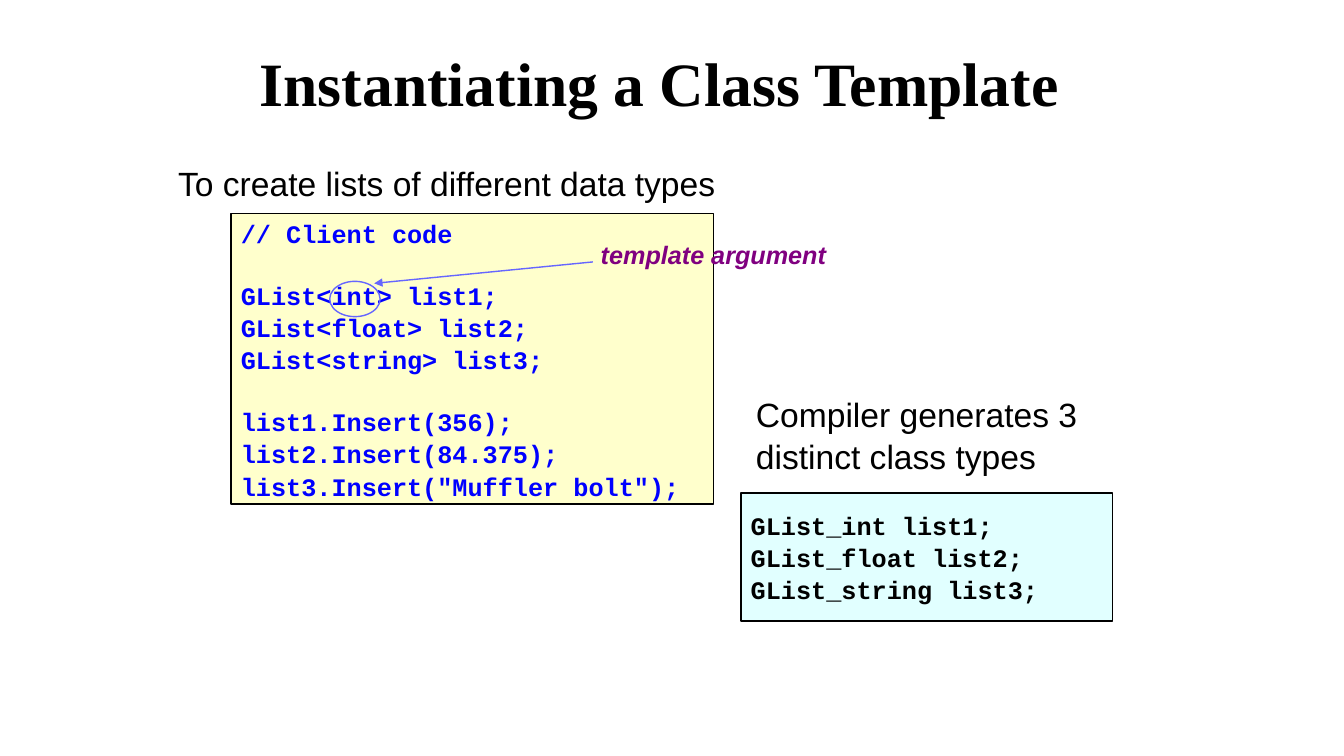
from pptx import Presentation
from pptx.dml.color import RGBColor
from pptx.enum.shapes import MSO_CONNECTOR as Connector, MSO_SHAPE as Shape
from pptx.enum.text import MSO_ANCHOR as Anchor, MSO_AUTO_SIZE as AutoSize, PP_ALIGN as Align
from pptx.oxml.ns import qn
from pptx.util import Cm, Pt
from lxml.etree import SubElement

COLORS = {
    "black": "000000", "code": "0000FF", "client": "FFFFCC",
    "generated": "E1FFFF", "marker": "6666FF", "label": "800080",
}
TITLE = {"name": "Times New Roman", "size": Pt(44), "bold": True}
HEADING = {"name": "Arial", "size": Pt(24)}
CODE = {"name": "Courier New", "size": Pt(18), "bold": True}
LABEL = {"name": "Arial", "size": Pt(18), "bold": True, "italic": True}
LINE_SPACING = 1.06
CODE_GAP = Pt(21.6)

# Blocks are separated by a gap of one line
CLIENT_CODE = [
    ["// Client code"],
    ["GList<int> list1;", "GList<float> list2;", "GList<string> list3;"],
    ["list1.Insert(356);", "list2.Insert(84.375);", 'list3.Insert("Muffler bolt");'],
]
GENERATED_CODE = [["GList_int list1;", "GList_float list2;", "GList_string list3;"]]


def color(name):
    return RGBColor.from_string(COLORS[name])


def place(box, left, top, width, height):
    """Turn a place inside a box into slide lengths."""
    return Cm(box[0] + left), Cm(box[1] + top), Cm(width), Cm(height)


def write(para, text, style, ink):
    para.line_spacing = LINE_SPACING
    span = para.add_run()
    span.text = text
    for key, value in style.items():
        setattr(span.font, key, value)
    span.font.color.rgb = color(ink)


def outline(shape, ink):
    shape.line.color.rgb = color(ink)
    shape.line.width = Pt(1)


def add_text(page, area, text, style, ink, wrap=True):
    frame = page.shapes.add_textbox(*area).text_frame
    frame.word_wrap = wrap
    write(frame.paragraphs[0], text, style, ink)


def add_code(page, area, blocks, fill, ink):
    panel = page.shapes.add_shape(Shape.RECTANGLE, *area)
    panel.shadow.inherit = False
    panel.fill.solid()
    panel.fill.fore_color.rgb = color(fill)
    outline(panel, "black")
    frame = panel.text_frame
    frame.word_wrap = True
    frame.vertical_anchor = Anchor.MIDDLE
    para = frame.paragraphs[0]
    for block_index, block in enumerate(blocks):
        for line_index, text in enumerate(block):
            if block_index or line_index:
                para = frame.add_paragraph()
            para.alignment = Align.LEFT
            if block_index and not line_index:
                para.space_before = CODE_GAP
            write(para, text, CODE, ink)


def add_title(page, box):
    title = page.shapes.title
    title.left, title.top, title.width, title.height = place(box, 0, 0, *box[2:])
    frame = title.text_frame
    frame.auto_size = AutoSize.NONE
    frame.vertical_anchor = Anchor.MIDDLE
    para = frame.paragraphs[0]
    para.alignment = Align.CENTER
    write(para, "Instantiating a Class Template ", TITLE, "black")


def add_callout(page, box):
    # Ring around the argument
    ring = page.shapes.add_shape(Shape.OVAL, *place(box, 4.07, 3.18, 1.27, 0.89))
    ring.shadow.inherit = False
    ring.fill.background()
    outline(ring, "marker")

    # Arrow from the label to the ring
    start = place(box, 10.7, 2.69, 0, 0)[:2]
    end = place(box, 5.19, 3.23, 0, 0)[:2]
    arrow = page.shapes.add_connector(Connector.STRAIGHT, *start, *end)
    outline(arrow, "marker")
    SubElement(arrow.line._get_or_add_ln(), qn("a:tailEnd"), type="triangle")
    SubElement(arrow._element.spPr, qn("a:effectLst"))

    add_text(page, place(box, 10.65, 1.96, 6.2, 1.02),
             "template argument", LABEL, "label", wrap=False)


def add_client(page, box):
    add_text(page, place(box, 0, 0, box[2], 1.27),
             "To create lists of different data types", HEADING, "black")
    add_code(page, place(box, 1.58, 1.47, 12.17, 7.32), CLIENT_CODE, "client", "code")
    add_callout(page, box)


def add_generated(page, box):
    add_text(page, place(box, 0.13, 0, 9.25, 2.31),
             "Compiler generates 3 distinct class types", HEADING, "black")
    add_code(page, place(box, 0, 2.69, box[2], 3.23),
             GENERATED_CODE, "generated", "black")


deck = Presentation()
deck.slide_width, deck.slide_height = Cm(33.87), Cm(19.05)
page = deck.slides.add_slide(deck.slide_layouts[5])
add_title(page, (5.92, 0.41, 21.79, 3.18))
add_client(page, (4.24, 3.91, 16.76, 8.79))
add_generated(page, (18.67, 9.73, 9.37, 5.92))
deck.save("out.pptx")
